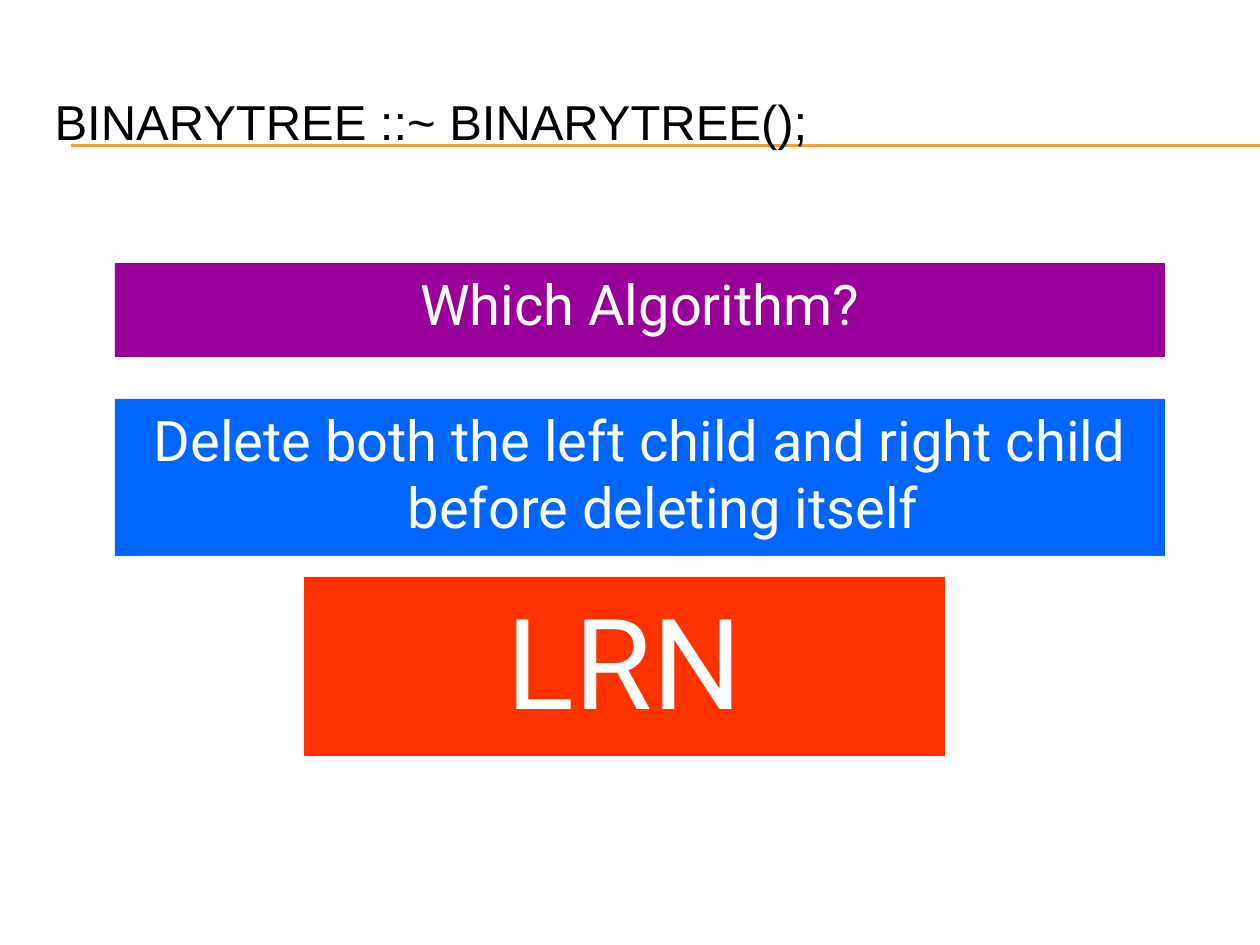
from lxml.etree import SubElement
from pptx import Presentation
from pptx.dml.color import RGBColor
from pptx.enum.shapes import MSO_CONNECTOR as CONNECTOR, MSO_SHAPE as SHAPE
from pptx.enum.text import MSO_ANCHOR as ANCHOR, MSO_AUTO_SIZE as AUTO_SIZE, PP_ALIGN as ALIGN
from pptx.oxml.ns import qn
from pptx.util import Emu, Pt

EMU_PER_PX = 914400 / 126
SLIDE_W, SLIDE_H = 1260, 945
HANGING = 47


def px(length):
    return Emu(round(length * EMU_PER_PX))


def color(hex_string):
    return RGBColor.from_string(hex_string)


def add_run(paragraph, text, font, size, fill):
    run = paragraph.add_run()
    run.text = text
    run.font.name = font
    run.font.size = Pt(size)
    run.font.color.rgb = color(fill)


def add_rules(slide, left, top, width):
    """Draw the double rule behind the title."""
    for y in (top, top + 1):
        rule = slide.shapes.add_connector(
            CONNECTOR.STRAIGHT, px(left), px(y), px(left + width), px(y))
        rule.line.color.rgb = color("F0A22E")
        rule.line.width = Pt(0.75)
        SubElement(rule._element.spPr, qn("a:effectLst"))
        slide.shapes._spTree.insert(2, rule._element)


def add_title(slide, left, top, width, height, text):
    title = slide.shapes.title
    title.left, title.top, title.width, title.height = map(px, (left, top, width, height))
    frame = title.text_frame
    frame.auto_size = AUTO_SIZE.NONE
    frame.vertical_anchor = ANCHOR.MIDDLE
    heading = frame.paragraphs[0]
    heading.alignment = ALIGN.LEFT
    add_run(heading, text, "Arial", 28, "000000")


def add_banner(slide, left, top, width, height, fill, text, size):
    banner = slide.shapes.add_shape(SHAPE.RECTANGLE, *map(px, (left, top, width, height)))
    banner.shadow.inherit = False
    banner.fill.solid()
    banner.fill.fore_color.rgb = color(fill)
    banner.line.fill.background()
    frame = banner.text_frame
    frame.word_wrap = True
    frame.vertical_anchor = ANCHOR.TOP
    message = frame.paragraphs[0]
    message.alignment = ALIGN.CENTER
    properties = message._p.get_or_add_pPr()
    properties.set("marL", str(px(HANGING)))
    properties.set("indent", str(-px(HANGING)))
    space_before = SubElement(properties, qn("a:spcBef"))
    SubElement(space_before, qn("a:spcPct")).set("val", "20000")
    add_run(message, text, "Roboto", size, "FFFFFF")


def main():
    deck = Presentation()
    deck.slide_width, deck.slide_height = px(SLIDE_W), px(SLIDE_H)
    slide = deck.slides.add_slide(deck.slide_layouts[5])
    add_rules(slide, 71, 145, SLIDE_W - 71)
    add_title(slide, 42, 63, 1197, 116, "BINARYTREE ::~ BINARYTREE();")
    add_banner(slide, 115, 399, 1050, 157, "0066FF",
               "Delete both the left child and right child before deleting itself", 32)
    add_banner(slide, 304, 577, 641, 179, "FF3300", "LRN", 72)
    add_banner(slide, 115, 263, 1050, 94, "990099", "Which Algorithm?", 32)
    deck.save("out.pptx")


if __name__ == "__main__":
    main()
